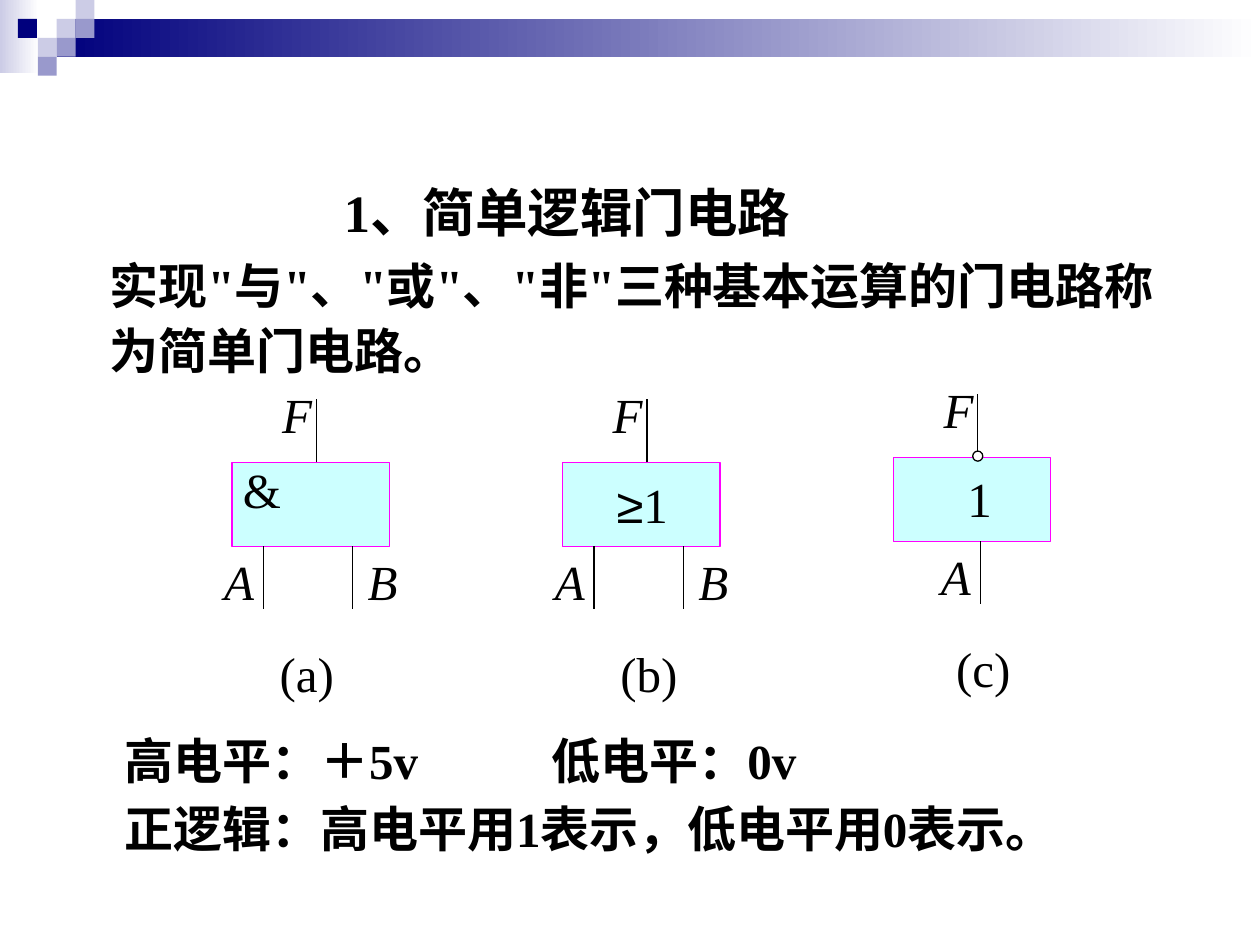
import pptx
import pptx.util
import pptx.dml.color
import pptx.enum.shapes
import pptx.enum.text
import pptx.oxml
from pptx.oxml.ns import qn
from lxml import etree

COLORS = {"ink": "000000", "paper": "FFFFFF", "navy": "00007D", "mid": "9999CC",
          "light": "CCCCE6", "gate": "CCFFFF", "edge": "FF00FF"}
SHAPE = pptx.enum.shapes.MSO_SHAPE
SERIF, SANS = "Times New Roman", "Arial"
COLUMNS, ROWS = 100, 75


def rgb(name):
    return pptx.dml.color.RGBColor.from_string(COLORS[name])


class Deck:
    """Holds the style and the current slide; lengths are grid columns and rows."""

    def __init__(self):
        self.prs = pptx.Presentation()
        self.prs.slide_width = pptx.util.Inches(10)
        self.prs.slide_height = pptx.util.Inches(7.5)
        self.s = self.prs.slides.add_slide(self.prs.slide_layouts[1])
        self.title, self.body = self.s.placeholders

    def x(self, columns):
        return round(self.prs.slide_width * columns / COLUMNS)

    def y(self, rows):
        return round(self.prs.slide_height * rows / ROWS)

    def box(self, left, top, width, height):
        return self.x(left), self.y(top), self.x(width), self.y(height)

    def shape(self, at, fill, line=None, kind=SHAPE.RECTANGLE):
        sp = self.s.shapes.add_shape(kind, *self.box(*at))
        sp.shadow.inherit = False
        if isinstance(fill, tuple):
            sp.fill.gradient()
            sp.fill.gradient_angle = 180
            for stop, color in zip(sp.fill.gradient_stops, fill):
                stop.color.rgb = rgb(color)
        else:
            sp.fill.solid()
            sp.fill.fore_color.rgb = rgb(fill)
        if line:
            sp.line.color.rgb = rgb(line)
            sp.line.width = pptx.util.Pt(0.75)
        else:
            sp.line.fill.background()

    def pin(self, x, bottom):
        """Vertical wire, five rows long, drawn upwards."""
        cx = self.s.shapes.add_connector(
            pptx.enum.shapes.MSO_CONNECTOR.STRAIGHT,
            self.x(x), self.y(bottom), self.x(x), self.y(bottom - 5))
        cx.line.color.rgb = rgb("ink")
        cx.line.width = pptx.util.Pt(0.75)
        etree.SubElement(cx._element.spPr, qn("a:effectLst"))

    def fill_text(self, sp, at, paragraphs, size=28, wrap=True, spacing=1.0, **style):
        """Each paragraph is a string or a list of (text, font) runs."""
        sp.left, sp.top, sp.width, sp.height = self.box(*at)
        tf = sp.text_frame
        frame = {"word_wrap": wrap,
                 "auto_size": pptx.enum.text.MSO_AUTO_SIZE.SHAPE_TO_FIT_TEXT,
                 "vertical_anchor": pptx.enum.text.MSO_ANCHOR.TOP}
        for name, value in frame.items():
            setattr(tf, name, value)
        layout = {"alignment": pptx.enum.text.PP_ALIGN.LEFT,
                  "line_spacing": spacing, "space_before": pptx.util.Pt(0)}
        for i, runs in enumerate(paragraphs):
            p = tf.add_paragraph() if i else tf.paragraphs[0]
            for name, value in layout.items():
                setattr(p, name, value)
            pPr = p._p.get_or_add_pPr()
            pPr.set("marL", "0")
            pPr.set("indent", "0")
            etree.SubElement(pPr, qn("a:buNone"))
            for text, font in [(runs, SERIF)] if isinstance(runs, str) else runs:
                r = p.add_run()
                r.text = text
                r.font.color.rgb = rgb("ink")
                values = {"name": font, "size": pptx.util.Pt(size), **style}
                for name, value in values.items():
                    setattr(r.font, name, value)

    def text(self, at, paragraphs, **style):
        sp = self.s.shapes.add_textbox(*self.box(*at))
        self.fill_text(sp, at, paragraphs, **style)

    def label(self, x, y, width, runs, italic=False):
        self.text((x, y, width, 5.7), [runs], wrap=False, italic=italic)

    def gate(self, x, y, symbol, symbol_at, inputs, caption, caption_dx, bubble=False):
        """Gate body with output F on top, inputs below and a caption."""
        self.shape((x, y, 12.5, 6.7), "gate", "edge")
        self.pin(x + 6.7, y)
        self.label(x + 3, y - 6.7, 4.4, "F", italic=True)
        for name, pin_dx, label_dx in inputs:
            self.pin(x + pin_dx, y + 11.6)
            self.label(x + label_dx, y + 6.6, 4.4, name, italic=True)
        dx, dy, width = symbol_at
        self.label(x + dx, y + dy, width, symbol)
        if bubble:
            self.shape((x + 6.3, y - 0.5, 0.8, 0.8), "paper", "ink", SHAPE.OVAL)
        self.label(x + caption_dx, y + 13.9, 7.2, caption)


def main():
    deck = Deck()

    # Header band and mosaic
    deck.shape((0, 0, 3.1, 5.8), ("paper", "light"))
    deck.shape((4.5, 1.5, 95.5, 3), ("paper", "navy"))
    tile = 1.5
    mosaic = [(3, 1, "light"), (4, 0, "light"), (4, 1, "mid"), (2, 2, "light"),
              (0.95, 1, "navy"), (3, 2, "mid"), (2, 3, "mid")]
    for column, row, color in mosaic:
        deck.shape((column * tile, row * tile, tile, tile), color)

    # Heading and definition
    deck.fill_text(deck.title, (26.3, 13.8, 42.9, 6), ["1、简单逻辑门电路"],
                   size=30, bold=True)
    deck.fill_text(deck.body, (7.7, 19.3, 85, 11.3),
                   ['实现"与"、"或"、"非"三种基本运算的门电路称为简单门电路。'],
                   spacing=1.1, bold=True)

    # AND, OR and NOT gates
    pair = [("A", 2.5, -1.6), ("B", 9.6, 9.8)]
    gates = [
        (36.7, "&", (-0.1, -0.7, 5), pair, "(a)", 2.8),
        (36.7, [("≥", SANS), ("1", SERIF)], (3.3, 0.5, 7), pair, "(b)", 3.6),
        (36.3, "1", (4.9, 0.4, 3.9), [("A", 6.9, 2.8)], "(c)", 4, True),
    ]
    for i, gate in enumerate(gates):
        deck.gate(18.4 + 26.25 * i, *gate)

    # Logic levels: the low level stands beside the high level
    levels = [
        ((8.9, 56.8, 79.5, 11.8),
         ["高电平：＋5v", "正逻辑：高电平用1表示，低电平用0表示。"]),
        ((42.8, 56.8, 26, 5.9), ["低电平：0v"]),
    ]
    for at, lines in levels:
        deck.text(at, lines, spacing=1.15, bold=True)

    deck.prs.save("out.pptx")


if __name__ == "__main__":
    main()
